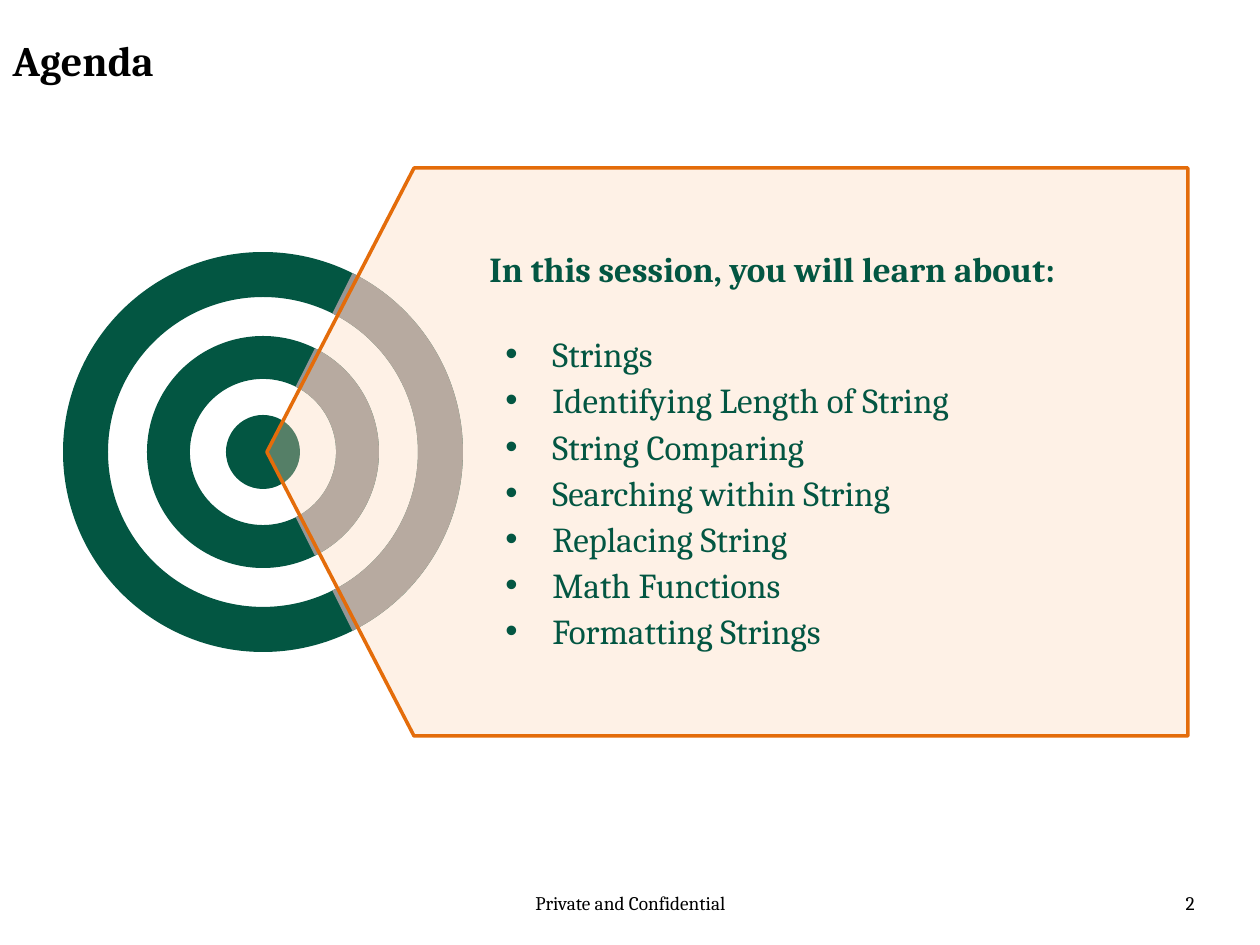
from pptx import Presentation
from pptx.dml.color import RGBColor
from pptx.enum.shapes import MSO_SHAPE as SHAPE
from pptx.enum.text import MSO_ANCHOR as ANCHOR, PP_ALIGN as ALIGN
from pptx.oxml.ns import qn
from pptx.util import Emu, Pt
from lxml import etree

COLORS = {"green": "035642", "gray": "969696", "peach": "FCD5B5",
          "orange": "E46C0A", "black": "000000"}
FONT = "Cambria"


def px(n):
    return Emu(round(n * 914400 / 126))


def set_font(p, size, color, bold=False):
    p.font.name, p.font.size, p.font.bold = FONT, Pt(size), bold
    p.font.color.rgb = RGBColor.from_string(COLORS[color])


prs = Presentation()
prs.slide_width, prs.slide_height = px(1260), px(945)
s = prs.slides.add_slide(prs.slide_layouts[5])

# Title
title = s.shapes.title
title.left, title.top, title.width, title.height = px(0), px(28), px(956), px(78)
tf = title.text_frame
tf.text = "Agenda"
tf.vertical_anchor = ANCHOR.TOP
tf.paragraphs[0].alignment = ALIGN.LEFT
set_font(tf.paragraphs[0], 24, "black", True)

# Target: centre disc and rings, then the gray sectors facing the panel
CX, CY = 263, 452
SECTOR = 63.4  # degrees above and below the horizontal
ARC = [(360 - SECTOR) * 0.6, SECTOR * 0.6]
target = [
    (SHAPE.OVAL, 74, "green", []),
    (SHAPE.DONUT, 232, "green", [0.185]),
    (SHAPE.DONUT, 400, "green", [0.1125]),
    (SHAPE.BLOCK_ARC, 232, "gray", ARC + [0.185]),
    (SHAPE.BLOCK_ARC, 400, "gray", ARC + [0.1125]),
]
for kind, size, color, adjustments in target:
    sp = s.shapes.add_shape(kind, px(CX - size // 2), px(CY - size // 2), px(size), px(size))
    for i, value in enumerate(adjustments):
        sp.adjustments[i] = value
    sp.shadow.inherit = False
    sp.fill.solid()
    sp.fill.fore_color.rgb = RGBColor.from_string(COLORS[color])
    sp.line.fill.background()

# Panel pointing at the target
panel = s.shapes.add_shape(SHAPE.PENTAGON, px(267), px(168), px(921), px(568))
panel.adjustments[0] = 0.259
panel.shadow.inherit = False
panel.fill.solid()
panel.fill.fore_color.rgb = RGBColor.from_string(COLORS["peach"])
panel.line.color.rgb = RGBColor.from_string(COLORS["orange"])
panel.line.width = Pt(2)
spPr = panel.element.spPr
spPr.find(qn("a:xfrm")).set("flipH", "1")
peach = spPr.find(qn("a:solidFill")).find(qn("a:srgbClr"))
etree.SubElement(peach, qn("a:alpha")).set("val", "33000")

# Panel text
topics = ["Strings", "Identifying Length of String", "String Comparing",
          "Searching within String", "Replacing String", "Math Functions",
          "Formatting Strings"]
tf = panel.text_frame
tf.word_wrap = True
tf.vertical_anchor = ANCHOR.MIDDLE
tf.margin_left, tf.margin_right = px(149), px(10)
tf.margin_top = tf.margin_bottom = 0
p = tf.paragraphs[0]
p.text = "In this session, you will learn about:"
p.alignment = ALIGN.LEFT
p.line_spacing = 0.9
p.space_after = Pt(22)
set_font(p, 20, "green", True)
for topic in topics:
    p = tf.add_paragraph()
    p.text = topic
    p.alignment = ALIGN.LEFT
    p.line_spacing = 1.1
    set_font(p, 20, "green")
    pPr = p._p.get_or_add_pPr()
    pPr.set("marL", str(px(63)))
    pPr.set("indent", str(-px(47)))
    bullet_font = etree.Element(qn("a:buFont"), typeface="Arial")
    bullet = etree.Element(qn("a:buChar"), char="•")
    pPr.find(qn("a:defRPr")).addprevious(bullet_font)
    bullet_font.addnext(bullet)

# Footer and slide number
for text, left, width, align in [("Private and Confidential", 431, 399, ALIGN.CENTER),
                                 ("2", 914, 293, ALIGN.RIGHT)]:
    tf = s.shapes.add_textbox(px(left), px(885), px(width), px(50)).text_frame
    tf.word_wrap = True
    p = tf.paragraphs[0]
    p.text = text
    p.alignment = align
    set_font(p, 11, "black")

prs.save("out.pptx")
